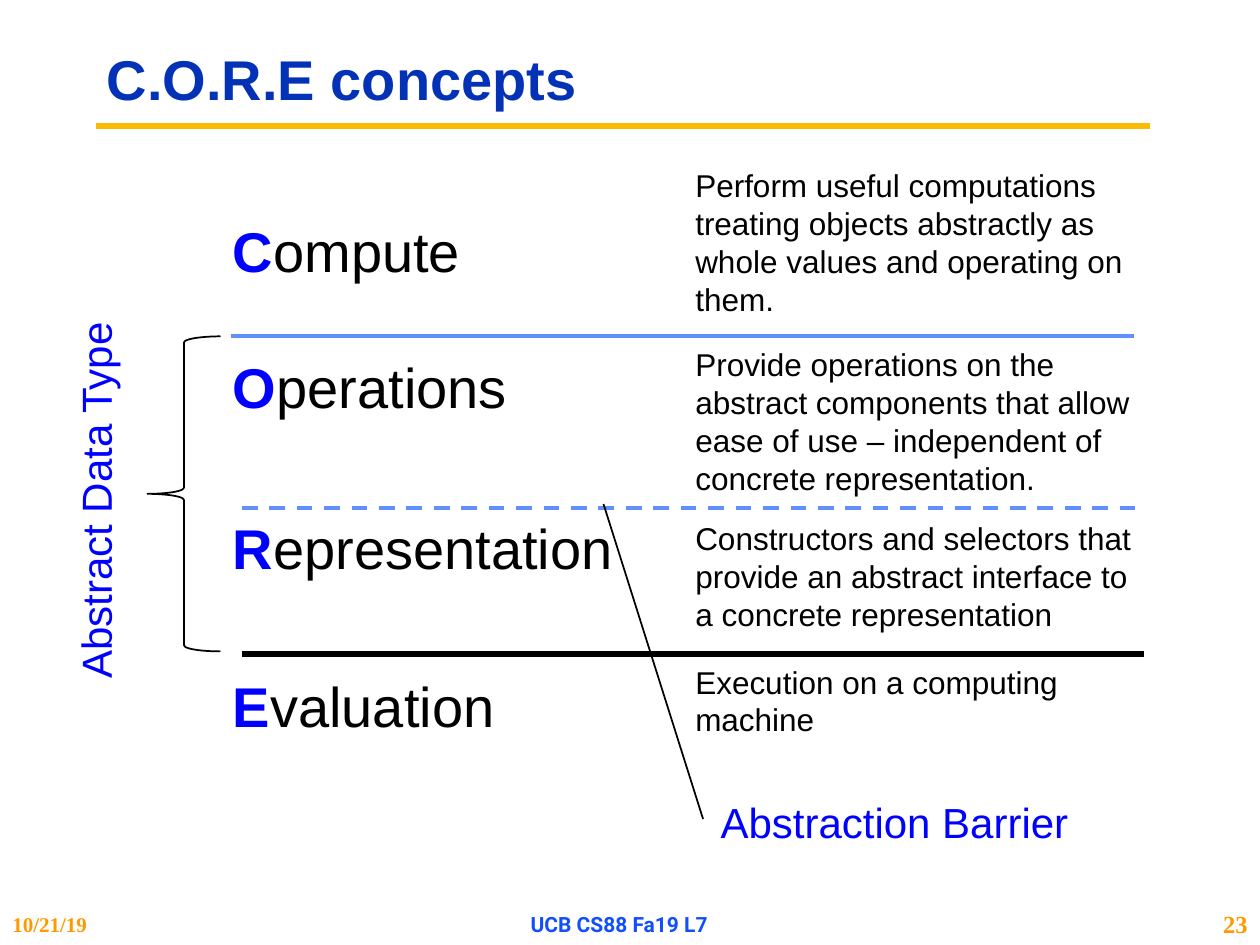
from dataclasses import dataclass
from typing import NamedTuple

from lxml.etree import SubElement
from pptx import Presentation
from pptx.dml.color import RGBColor
from pptx.enum.dml import MSO_LINE
from pptx.enum.shapes import MSO_CONNECTOR, MSO_SHAPE
from pptx.enum.text import MSO_ANCHOR as ANCHOR, PP_ALIGN as ALIGN
from pptx.oxml.ns import qn
from pptx.util import Inches, Pt


@dataclass(frozen=True)
class Theme:
    sans: str = "Arial"
    serif: str = "Times New Roman"
    footer_font: str = "Roboto"
    title: str = "0332B7"
    accent: str = "0000FF"
    ink: str = "000000"
    gold: str = "FBBA03"
    orange: str = "FF9900"
    footer: str = "114FFB"
    barrier: str = "618FFD"
    heading_size: int = 32
    label_size: int = 24
    body_size: int = 18
    footer_size: int = 12
    number_size: int = 14


T = Theme()


class Box(NamedTuple):
    left: float
    top: float
    width: float
    height: float


class Run(NamedTuple):
    text: str
    size: int
    color: str = T.ink
    bold: bool = False
    font: str = T.sans


class Concept(NamedTuple):
    word: str
    word_top: float
    word_width: float
    meaning: str
    meaning_top: float
    meaning_width: float
    meaning_height: float


class Rule(NamedTuple):
    start: tuple[float, float]
    end: tuple[float, float]
    color: str
    weight: float
    dash: MSO_LINE | None = None


CONCEPTS = [
    Concept("Compute", 1.67, 2.02,
            "Perform useful computations treating objects abstractly as "
            "whole values and operating on them.", 1.27, 4, 1.31),
    Concept("Operations", 2.75, 2.4,
            "Provide operations on the abstract components that allow ease "
            "of use – independent of concrete representation.", 2.69, 3.83, 1.31),
    Concept("Representation", 4.03, 3.25,
            "Constructors and selectors that provide an abstract interface "
            "to a concrete representation", 4.07, 3.83, 1.01),
    Concept("Evaluation", 5.28, 2.3,
            "Execution on a computing machine", 5.21, 3.83, 0.71),
]
WORD_LEFT, WORD_HEIGHT, MEANING_LEFT = 1.75, 0.64, 5.42

TITLE_RULE = Rule((0.76, 1), (9.13, 1), T.gold, 3.75)
RULES = [
    Rule((1.83, 2.67), (9, 2.67), T.barrier, 2.25),
    Rule((1.92, 4.03), (9.08, 4.03), T.barrier, 2.25, MSO_LINE.DASH),
    Rule((1.92, 5.19), (9.08, 5.19), T.ink, 3),
]
BARRIER_POINTER = Rule((4.79, 4), (5.58, 6.5), T.ink, 1)


def add_text(s, box: Box, runs: list[Run], anchor=ANCHOR.TOP,
             align=ALIGN.LEFT, spacing: float = 1.0, rotation: float = 0) -> None:
    sp = s.shapes.add_textbox(*map(Inches, box))
    sp.rotation = rotation
    tf = sp.text_frame
    tf.word_wrap, tf.vertical_anchor = True, anchor
    p = tf.paragraphs[0]
    p.alignment, p.line_spacing = align, spacing
    for run in runs:
        r = p.add_run()
        r.text = run.text
        style = {"size": Pt(run.size), "bold": run.bold, "name": run.font}
        for name, value in style.items():
            setattr(r.font, name, value)
        r.font.color.rgb = RGBColor.from_string(run.color)


def add_rule(s, rule: Rule) -> None:
    line = s.shapes.add_connector(MSO_CONNECTOR.STRAIGHT,
                                  *map(Inches, rule.start + rule.end))
    line.line.color.rgb = RGBColor.from_string(rule.color)
    line.line.width = Pt(rule.weight)
    if rule.dash is not None:
        line.line.dash_style = rule.dash
    SubElement(line._element.spPr, qn("a:effectLst"))


def add_brace(s, box: Box) -> None:
    sp = s.shapes.add_shape(MSO_SHAPE.LEFT_BRACE, *map(Inches, box))
    sp.shadow.inherit = False
    sp.fill.background()
    sp.line.color.rgb = RGBColor.from_string(T.ink)
    sp.line.width = Pt(1)


def add_concept(s, concept: Concept) -> None:
    """Place the word with its stressed initial, and its meaning beside it."""
    add_text(s, Box(WORD_LEFT, concept.word_top, concept.word_width, WORD_HEIGHT),
             [Run(concept.word[0], T.heading_size, T.accent, True),
              Run(concept.word[1:], T.heading_size)])
    add_text(s, Box(MEANING_LEFT, concept.meaning_top, concept.meaning_width,
                    concept.meaning_height),
             [Run(concept.meaning, T.body_size)])


def add_footer(s) -> None:
    for left, width, align, run in [
        (0, 1.67, ALIGN.LEFT, Run("10/21/19", T.footer_size, T.orange, True, T.serif)),
        (3.33, 3.17, ALIGN.CENTER,
         Run("UCB CS88 Fa19 L7", T.footer_size, T.footer, True, T.footer_font)),
        (9.42, 0.58, ALIGN.RIGHT, Run("23", T.number_size, T.orange, True, T.serif)),
    ]:
        add_text(s, Box(left, 7.17, width, 0.33), [run], ANCHOR.MIDDLE, align)


def main() -> None:
    prs = Presentation()
    prs.slide_width, prs.slide_height = Inches(10), Inches(7.5)
    s = prs.slides.add_slide(prs.slide_layouts[6])

    add_rule(s, TITLE_RULE)
    add_text(s, Box(0.75, 0.25, 8.42, 0.81),
             [Run("C.O.R.E concepts", T.heading_size, T.title, True)],
             ANCHOR.MIDDLE, spacing=0.9)
    add_footer(s)
    for concept in CONCEPTS:
        add_concept(s, concept)
    for rule in RULES:
        add_rule(s, rule)

    add_brace(s, Box(1.17, 2.67, 0.58, 2.5))
    add_text(s, Box(-0.78, 3.7, 3.07, 0.5),
             [Run("Abstract Data Type", T.label_size, T.accent)], rotation=270)
    add_text(s, Box(5.62, 6.27, 3.01, 0.5),
             [Run("Abstraction Barrier", T.label_size, T.accent)])
    add_rule(s, BARRIER_POINTER)
    prs.save("out.pptx")


if __name__ == "__main__":
    main()
